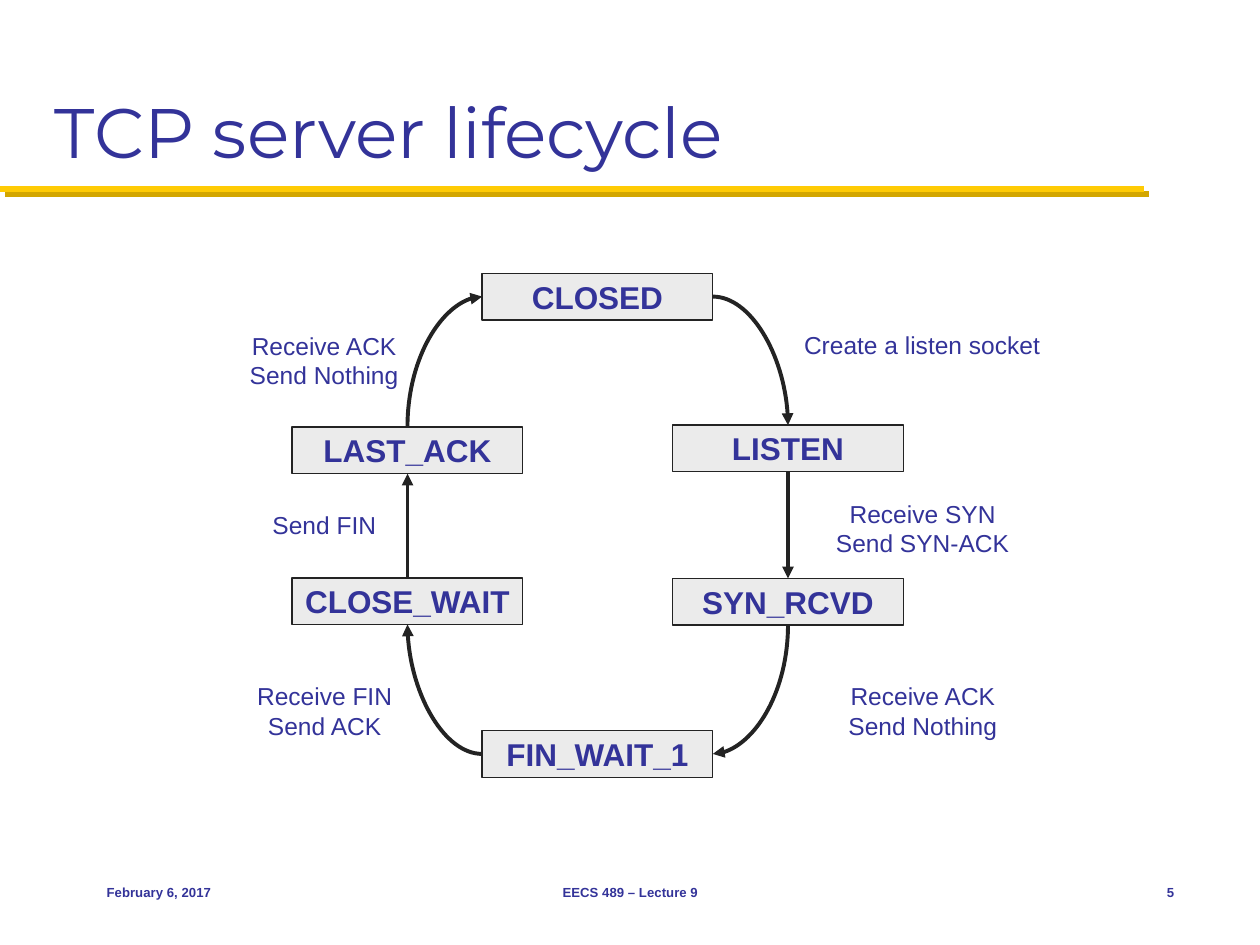
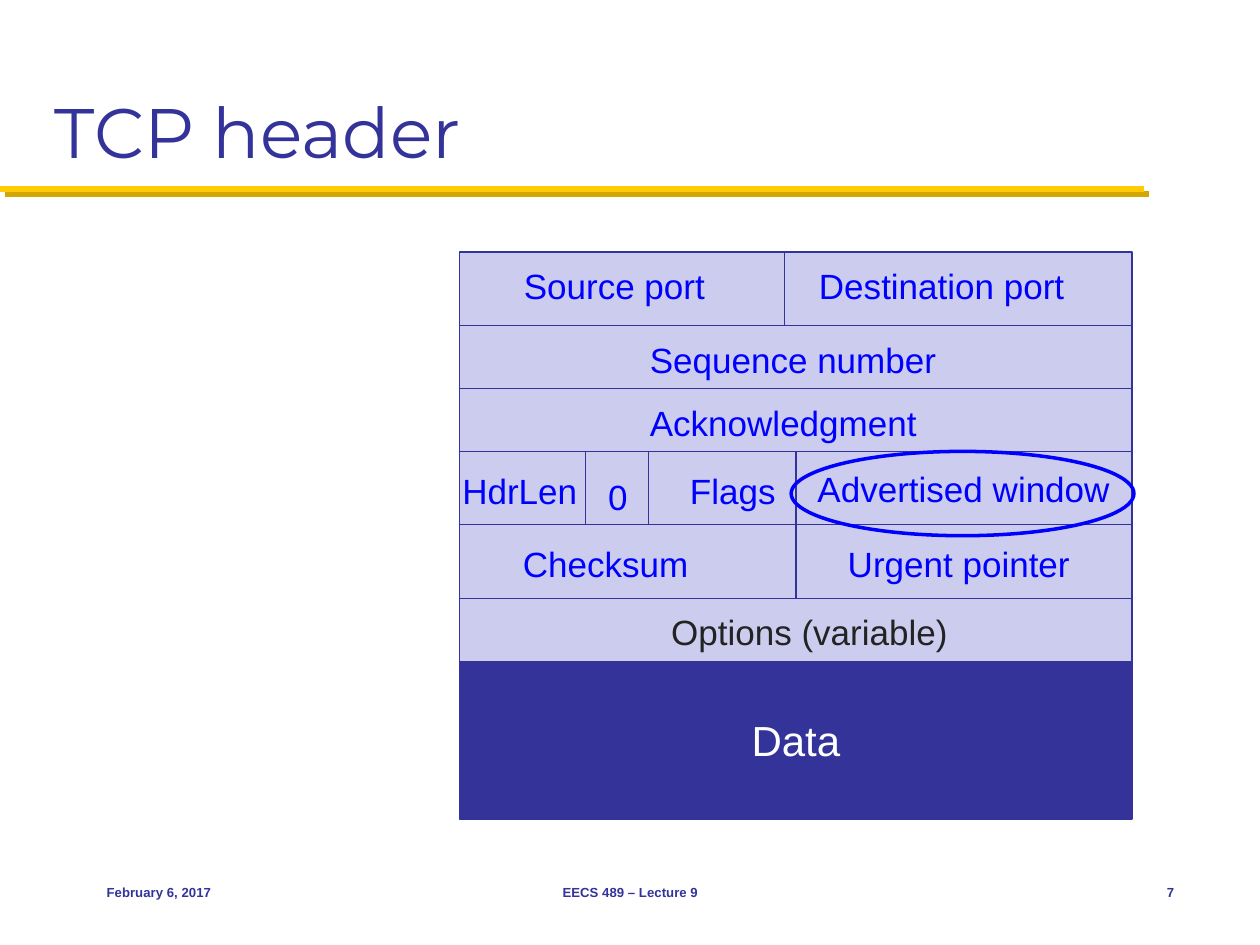
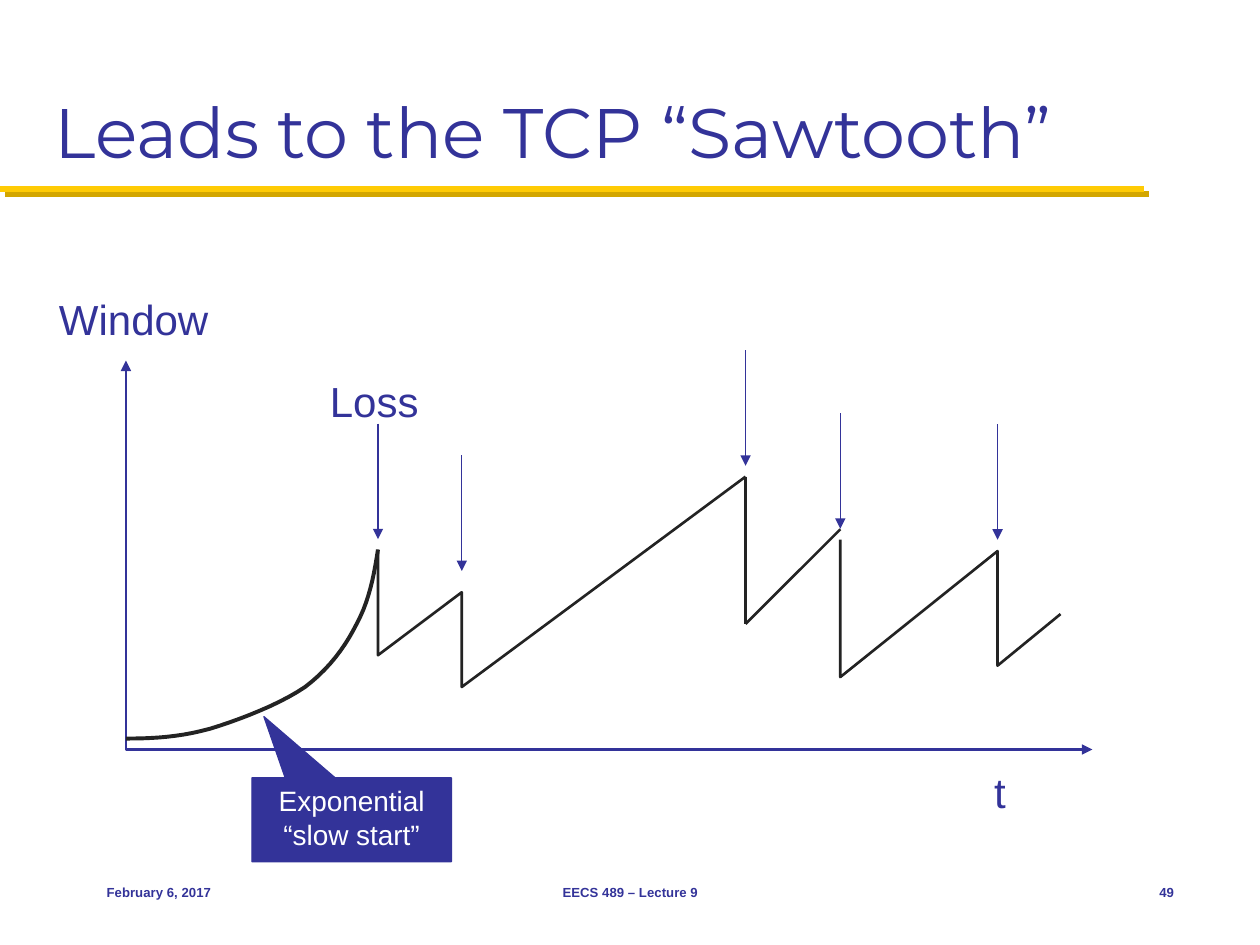
from collections import namedtuple
from dataclasses import dataclass
from itertools import accumulate

from lxml.etree import SubElement
from pptx import Presentation
from pptx.dml.color import RGBColor
from pptx.enum.shapes import MSO_CONNECTOR, MSO_SHAPE
from pptx.enum.text import MSO_ANCHOR, MSO_AUTO_SIZE, PP_ALIGN
from pptx.oxml.ns import qn
from pptx.util import Cm, Pt


@dataclass(frozen=True)
class Theme:
    """Colours, fonts and type sizes of the deck."""
    navy: str = "333399"
    gold: str = "FFCB05"
    shade: str = "D3A600"
    ink: str = "232323"
    gray: str = "EBEBEB"
    lilac: str = "CCCCEE"
    blue: str = "0000FF"
    white: str = "FFFFFF"
    head: str = "Montserrat"
    body: str = "Arial"
    title: float = 40
    axis: float = 24
    field: float = 20
    state: float = 18
    call: float = 16
    note: float = 14
    foot: float = 7.5


T = Theme()
LEFT, MID, RIGHT = PP_ALIGN.LEFT, PP_ALIGN.CENTER, PP_ALIGN.RIGHT


class Box(namedtuple("Box", "x y w h")):
    """An area in centimetres that places parts relative to its corner."""

    def point(self, x, y):
        """Return a point of the box as slide lengths."""
        return Cm(self.x + x), Cm(self.y + y)

    def area(self, x, y, w, h):
        """Return a part of the box as slide lengths."""
        return *self.point(x, y), Cm(w), Cm(h)


def write(shape, text, size, color=T.navy, align=LEFT, anchor=MSO_ANCHOR.TOP,
          bold=False, font=T.body, wrap=False):
    """Put styled text into a shape."""
    frame = shape.text_frame
    frame.text = text
    frame.word_wrap = wrap
    frame.auto_size = MSO_AUTO_SIZE.NONE
    frame.vertical_anchor = anchor
    for para in frame.paragraphs:
        para.alignment = align
        para.font.size = Pt(size)
        para.font.name = font
        para.font.bold = bold
        para.font.color.rgb = RGBColor.from_string(color)


def label(slide, area, text, size, **style):
    """Add a text box."""
    write(slide.shapes.add_textbox(*area), text, size, **style)


def stroke(shape, color, width, head=False, tail=False):
    """Style an outline and give it arrowheads."""
    shape.line.color.rgb = RGBColor.from_string(color)
    shape.line.width = Pt(width)
    edge = shape.element.spPr.find(qn("a:ln"))
    for name, shown in (("headEnd", head), ("tailEnd", tail)):
        if shown:
            SubElement(edge, qn(f"a:{name}"), type="triangle")


def block(slide, area, fill, color=T.navy, width=0.75, kind=MSO_SHAPE.RECTANGLE):
    """Add a flat preset shape."""
    shape = slide.shapes.add_shape(kind, *area)
    shape.shadow.inherit = False
    if fill:
        shape.fill.solid()
        shape.fill.fore_color.rgb = RGBColor.from_string(fill)
    else:
        shape.fill.background()
    stroke(shape, color, width)
    return shape


def join(slide, start, end, color, width, head=False, tail=False,
         kind=MSO_CONNECTOR.STRAIGHT):
    """Add a connector and return it with its empty effect list."""
    line = slide.shapes.add_connector(kind, *start, *end)
    stroke(line, color, width, head, tail)
    return line, SubElement(line.element.spPr, qn("a:effectLst"))


def trace(slide, box, points, color, width, **ends):
    """Add an open outline through points of the box."""
    first, *rest = [box.point(*point) for point in points]
    pen = slide.shapes.build_freeform(*first)
    pen.add_line_segments(rest, close=False)
    shape = pen.convert_to_shape()
    shape.shadow.inherit = False
    shape.fill.background()
    stroke(shape, color, width, **ends)


def bend(points, steps=10):
    """Sample a chain of cubic curves."""
    path = [points[0]]
    for i in range(0, len(points) - 1, 3):
        quad = points[i:i + 4]
        for step in range(1, steps + 1):
            t = step / steps
            parts = ((1 - t) ** 3, 3 * t * (1 - t) ** 2, 3 * t * t * (1 - t), t ** 3)
            path.append(tuple(sum(k * p[axis] for k, p in zip(parts, quad))
                              for axis in (0, 1)))
    return path


def frame(deck, title, number):
    """Add a slide with its title, gold rule and footer."""
    slide = deck.slides.add_slide(deck.slide_layouts[5])
    page = Box(0, 0, 25.4, 19.05)
    _, glow = join(slide, page.point(0, 3.81), page.point(23.06, 3.81), T.gold, 3.5)
    cast = SubElement(glow, qn("a:outerShdw"), dist=str(Pt(4.2)), dir="2700000",
                      algn="ctr", rotWithShape="0")
    SubElement(cast, qn("a:srgbClr"), val=T.shade)
    head = slide.shapes.title
    head.left, head.top, head.width, head.height = page.area(0.85, 0.42, 23.7, 3.18)
    write(head, title, T.title, anchor=MSO_ANCHOR.BOTTOM, font=T.head, wrap=True)
    for x, w, text, align in ((1.9, 5.28, "February 6, 2017", LEFT),
                              (8.68, 8.05, "EECS 489 – Lecture 9", MID),
                              (22.23, 1.69, str(number), RIGHT)):
        label(slide, page.area(x, 17.36, w, 1.27), text, T.foot, align=align,
              anchor=MSO_ANCHOR.MIDDLE, bold=True)
    return slide


def cycle(slide, box):
    """Draw the ring of server states."""
    mid, right = box.w / 2 - 2.33, box.w - 4.65
    spots = {"CLOSED": (mid, 0), "LISTEN": (right, 3.06), "SYN_RCVD": (right, 6.15),
             "FIN_WAIT_1": (mid, 9.22), "CLOSE_WAIT": (0, 6.14), "LAST_ACK": (0, 3.1)}
    nodes = {}
    for name, (x, y) in spots.items():
        nodes[name] = block(slide, box.area(x, y, 4.65, 0.94), T.gray, T.ink)
        write(nodes[name], name, T.state, align=MID, anchor=MSO_ANCHOR.MIDDLE, bold=True)

    top, left, low, side = range(4)
    links = (("CLOSED", side, "LISTEN", top, False),
             ("LISTEN", low, "SYN_RCVD", top, False),
             ("FIN_WAIT_1", side, "SYN_RCVD", low, True),
             ("FIN_WAIT_1", left, "CLOSE_WAIT", low, False),
             ("CLOSE_WAIT", top, "LAST_ACK", low, False),
             ("CLOSED", left, "LAST_ACK", top, True))
    for start, out, end, into, back in links:
        curved = out in (left, side)
        kind = MSO_CONNECTOR.CURVE if curved else MSO_CONNECTOR.STRAIGHT
        line, _ = join(slide, box.point(0, 0), box.point(0, 0), T.ink, 2.25,
                       head=back, tail=not back, kind=kind)
        line.begin_connect(nodes[start], out)
        line.end_connect(nodes[end], into)
        if curved:
            line.element.spPr.find(qn("a:prstGeom")).set("prst", "curvedConnector2")

    for x, y, w, text in ((10.06, 1.02, 5.28, "Create a listen socket"),
                          (10.69, 4.42, 4.04, "Receive SYN\nSend SYN-ACK"),
                          (10.95, 8.1, 3.53, "Receive ACK\nSend Nothing"),
                          (-0.97, 8.1, 3.25, "Receive FIN\nSend ACK"),
                          (-0.66, 4.65, 2.62, "Send FIN"),
                          (-1.12, 1.04, 3.53, "Receive ACK\nSend Nothing")):
        tall = 1.45 if "\n" in text else 0.87
        label(slide, box.area(x, y, w, tall), text, T.note, align=MID)


def header(slide, box):
    """Draw the packet header, row by row."""
    half = box.w / 2
    rows = ((1.48, 6.55, (("Source port", 1.04, 0.13, 4.17),
                          ("Destination port", 6.99, 0.13, 5.46))),
            (1.27, None, (("Sequence number", 3.58, 0.13, 6.27),)),
            (1.27, None, (("Acknowledgment", 3.58, 0.13, 5.94),)),
            (1.48, half, (("HdrLen", -0.2, 0.23, 2.97), ("0", 2.74, 0.36, 0.91),
                          ("Flags", 4.39, 0.25, 2.26),
                          ("Advertised window", 6.96, 0.2, 6.45))),
            (1.48, half, (("Checksum", 1.02, 0.23, 3.84),
                          ("Urgent pointer", 7.57, 0.23, 4.98))),
            (1.27, None, (("Options (variable)", 4.01, 0.13, 6.07),)))
    tops = list(accumulate((row[0] for row in rows), initial=0))
    for top, (tall, split, names) in zip(tops, rows):
        cells = ((0, split), (split, box.w - split)) if split else ((0, box.w),)
        for x, w in cells:
            block(slide, box.area(x, top, w, tall), T.lilac)
        for text, x, y, w in names:
            color = T.ink if text.startswith("Options") else T.blue
            label(slide, box.area(x, top + y, w, 1.1), text, T.field, color=color)
    for x in (2.54, 3.81):
        join(slide, box.point(x, tops[3]), box.point(x, tops[4]), T.navy, 0.75)
    data = block(slide, box.area(0, tops[-1], box.w, box.h - tops[-1]), T.navy)
    write(data, "Data", T.axis, T.white, MID, MSO_ANCHOR.MIDDLE)
    block(slide, box.area(6.68, tops[3], 6.91, 1.7), None, T.blue, 2, MSO_SHAPE.OVAL)


def plot(slide, box):
    """Draw the window size over time."""
    trace(slide, box, ((0, 0), (0, box.h), (box.w, box.h)), T.navy, 1.5,
          head=True, tail=True)
    for x, y in ((5.08, 1.27), (6.77, 1.91), (12.49, -0.21), (14.4, 1.06), (17.57, 1.28)):
        join(slide, box.point(x, y), box.point(x, y + 2.33), T.navy, 0.75, tail=True)
    slow = ((5.08, 3.81), (5, 4.34), (4.9, 4.85), (4.65, 5.31), (4.42, 5.77),
            (4.09, 6.22), (3.61, 6.58), (3.1, 6.93), (2.29, 7.24), (1.7, 7.42),
            (1.09, 7.59), (0.56, 7.62), (0, 7.62))
    trace(slide, box, bend(slow), T.ink, 2.25)

    call = block(slide, box.area(2.54, 8.41, 4.02, 1.69), T.navy,
                 kind=MSO_SHAPE.RECTANGULAR_CALLOUT)
    call.adjustments[0], call.adjustments[1] = -0.44, -1.23
    write(call, "Exponential\v“slow start”", T.call, T.white, MID, wrap=True)

    peak, dip = (12.49, 2.34), (12.49, 5.31)
    for path in (((5.08, 3.81), (5.08, 5.94), (6.77, 4.67), (6.77, 6.58), peak),
                 ((14.4, 3.61), (14.4, 6.38), (17.57, 3.84), (17.57, 6.15), (18.84, 5.11))):
        trace(slide, box, path, T.ink, 1.5)
    for start, end in ((dip, (14.4, 3.4)), (peak, dip)):
        join(slide, box.point(*start), box.point(*end), T.ink, 1.5)
    for x, y, w, text in ((3.86, 0.17, 2.31, "Loss"), (17.25, 8.05, 0.74, "t"),
                          (-1.6, -1.47, 3.56, "Window")):
        label(slide, box.area(x, y, w, 1.27), text, T.axis)


def main():
    """Build and save the deck."""
    deck = Presentation()
    deck.slide_width, deck.slide_height = Cm(25.4), Cm(19.05)
    cycle(frame(deck, "TCP server lifecycle", 5), Box(5.89, 5.51, 12.32, 10.16))
    header(frame(deck, "TCP header", 7), Box(9.27, 5.08, 13.55, 11.43))
    plot(frame(deck, "Leads to the TCP “Sawtooth”", 49), Box(2.54, 7.27, 19.48, 7.84))
    deck.save("out.pptx")


if __name__ == "__main__":
    main()
